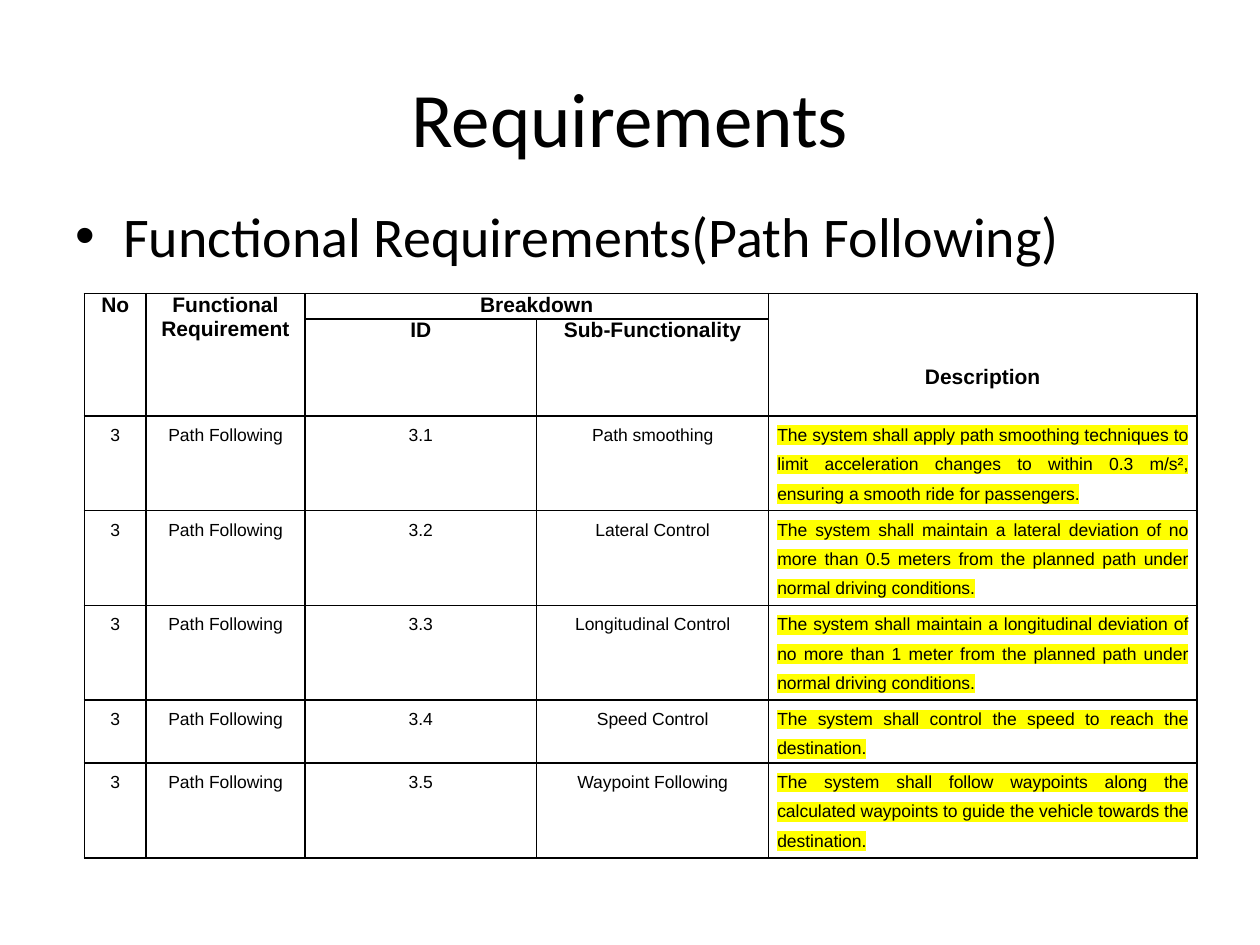
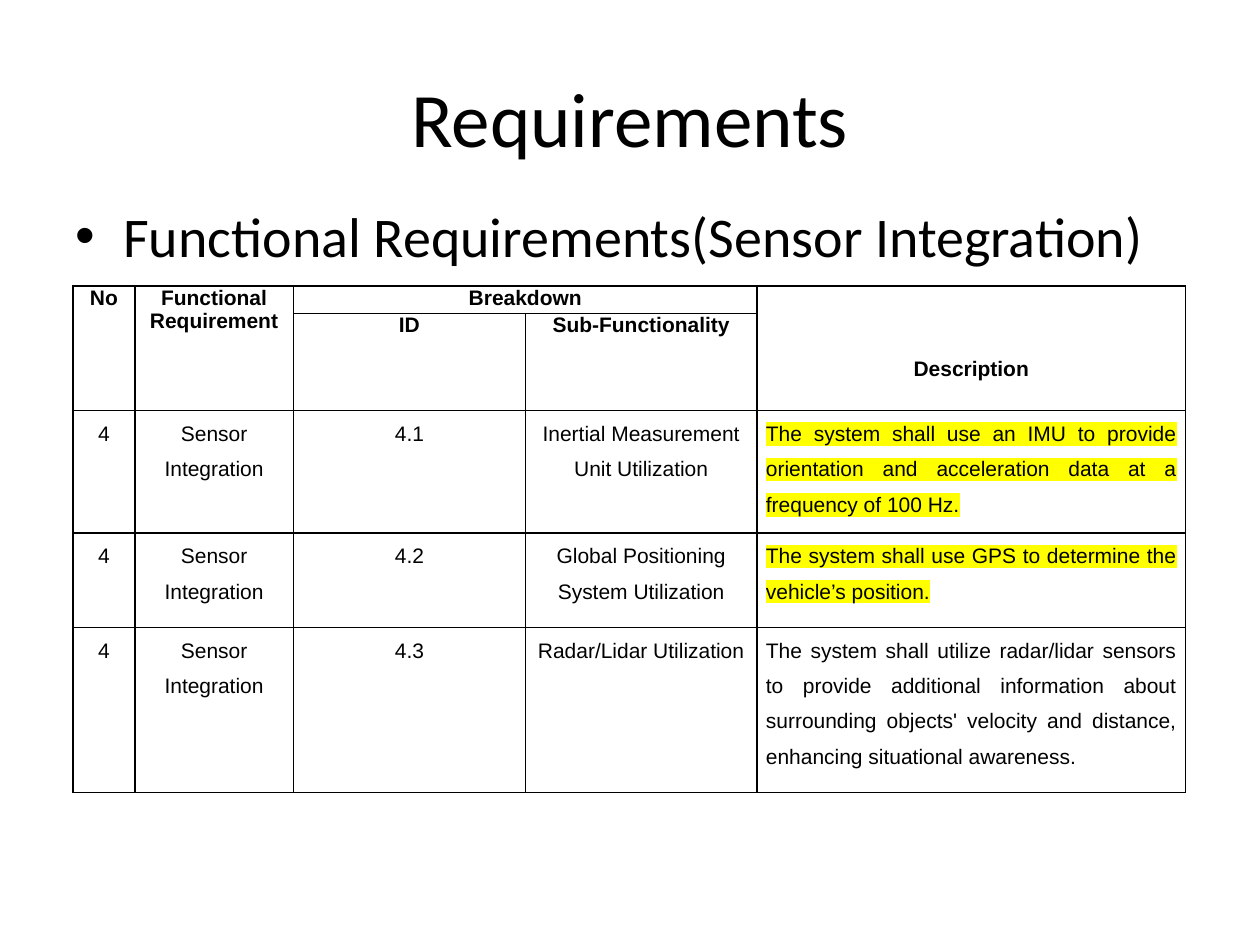
from lxml import etree
from pptx import Presentation
from pptx.dml.color import RGBColor
from pptx.enum.text import MSO_ANCHOR, PP_ALIGN
from pptx.oxml.ns import qn
from pptx.util import Inches, Pt

CENTER, JUSTIFY, LEFT = PP_ALIGN.CENTER, PP_ALIGN.JUSTIFY, PP_ALIGN.LEFT
TOP, MIDDLE = MSO_ANCHOR.TOP, MSO_ANCHOR.MIDDLE

# Content
TITLE = "Requirements"
HEADER = ["No", "Functional Requirement", "Breakdown", None, "Description"]
SUBHEADER = [None, None, "ID", "Sub-Functionality", None]
SECTIONS = [
    {
        "number": 3,
        "name": "Path Following",
        "table_at": (0.67, 2.33),
        "row_heights": [0.18, 0.53, 0.7, 0.7, 0.7, 0.43, 0.52],
        "text_size": 10,
        "description_gap": 12,
        # Sub-functionality, description, highlighted
        "items": [
            ("Path smoothing",
             "The system shall apply path smoothing techniques to limit acceleration "
             "changes to within 0.3 m/s², ensuring a smooth ride for passengers.", True),
            ("Lateral Control",
             "The system shall maintain a lateral deviation of no more than 0.5 meters "
             "from the planned path under normal driving conditions.", True),
            ("Longitudinal Control",
             "The system shall maintain a longitudinal deviation of no more than 1 meter "
             "from the planned path under normal driving conditions.", True),
            ("Speed Control",
             "The system shall control the speed to reach the destination.", True),
            ("Waypoint Following",
             "The system shall follow waypoints along the calculated waypoints to guide "
             "the vehicle towards the destination.", True),
        ],
    },
    {
        "number": 4,
        "name": "Sensor Integration",
        "table_at": (0.58, 2.27),
        "row_heights": [0.22, 0.66, 0.97, 0.75, 1.31],
        "text_size": 12,
        "description_gap": 0,
        "items": [
            ("Inertial Measurement Unit Utilization",
             "The system shall use an IMU to provide orientation and acceleration data "
             "at a frequency of 100 Hz.", True),
            ("Global Positioning System Utilization",
             "The system shall use GPS to determine the vehicle’s position.", True),
            ("Radar/Lidar Utilization",
             "The system shall utilize radar/lidar sensors to provide additional "
             "information about surrounding objects' velocity and distance, enhancing "
             "situational awareness.", False),
        ],
    },
]

# Shared look
COLORS = {"text": "000000", "border": "000000", "highlight": "FFFF00"}
SLIDE_WIDTH, SLIDE_HEIGHT = 10, 7.5
MARGIN = SLIDE_WIDTH * 0.05
CONTENT_WIDTH = SLIDE_WIDTH - 2 * MARGIN
TITLE_TOP, TITLE_HEIGHT = SLIDE_HEIGHT * 0.04, 1.25
BODY_TOP, BODY_HEIGHT = TITLE_TOP + TITLE_HEIGHT, 5.15
BULLET_INDENT = 0.38
COLUMN_WIDTHS = [0.49, 1.26, 1.84, 1.84, 3.4]
DESCRIPTION_COLUMN = len(COLUMN_WIDTHS) - 1
CELL_MARGINS = {"margin_left": 0.07, "margin_right": 0.07,
                "margin_top": 0, "margin_bottom": 0}
DESCRIPTION_DROP = 0.57
HEADER_MERGES = [((0, 0), (1, 0)), ((0, 1), (1, 1)), ((0, 2), (0, 3)), ((0, 4), (1, 4))]


def write(paragraph, text, font, size, alignment, bold=False, **spacing):
    """Add one formatted run; spacing holds further paragraph attributes."""
    run = paragraph.add_run()
    run.text = text
    for name, value in {"size": Pt(size), "bold": bold, "name": font}.items():
        setattr(run.font, name, value)
    run.font.color.rgb = RGBColor.from_string(COLORS["text"])
    for name, value in {"alignment": alignment, **spacing}.items():
        setattr(paragraph, name, value)
    return run


def add_color(parent, tag, color):
    element = etree.SubElement(parent, qn(tag))
    etree.SubElement(element, qn("a:srgbClr"), val=color)
    return element


def highlight(run):
    properties = run.font._element
    marker = add_color(properties, "a:highlight", COLORS["highlight"])
    properties.find(qn("a:latin")).addprevious(marker)


def format_cell(cell):
    properties = cell._tc.get_or_add_tcPr()
    for side in ("L", "R", "T", "B"):
        line = etree.SubElement(properties, qn(f"a:ln{side}"), w=str(Pt(1)))
        add_color(line, "a:solidFill", COLORS["border"])
    cell.fill.background()
    cell.vertical_anchor = TOP
    for name, inches in CELL_MARGINS.items():
        setattr(cell, name, Inches(inches))


def add_heading(slide, section):
    # Title
    title = slide.shapes.title
    place = {"left": MARGIN, "top": TITLE_TOP, "width": CONTENT_WIDTH, "height": TITLE_HEIGHT}
    for name, inches in place.items():
        setattr(title, name, Inches(inches))
    title.text_frame.vertical_anchor = MIDDLE
    write(title.text_frame.paragraphs[0], TITLE, "Calibri", 44, CENTER)

    # Bulleted subject line
    box = slide.shapes.add_textbox(*map(Inches, (MARGIN, BODY_TOP, CONTENT_WIDTH, BODY_HEIGHT)))
    box.text_frame.word_wrap = True
    paragraph = box.text_frame.paragraphs[0]
    write(paragraph, f"Functional Requirements({section['name']})", "Calibri", 32, LEFT,
          space_before=Pt(6.4))
    properties = paragraph._p.get_or_add_pPr()
    properties.set("marL", str(Inches(BULLET_INDENT)))
    properties.set("indent", str(-Inches(BULLET_INDENT)))
    etree.SubElement(properties, qn("a:buFont"), typeface="Arial")
    etree.SubElement(properties, qn("a:buChar"), char="•")


def add_requirements_table(slide, section):
    heights = section["row_heights"]
    number = section["number"]
    rows = [HEADER, SUBHEADER] + [
        [str(number), section["name"], f"{number}.{index}", item, description]
        for index, (item, description, marked) in enumerate(section["items"], 1)
    ]
    left, top = section["table_at"]
    frame = slide.shapes.add_table(len(rows), len(COLUMN_WIDTHS), *map(
        Inches, (left, top, sum(COLUMN_WIDTHS), sum(heights))))
    table = frame.table
    table.first_row = table.horz_banding = False
    for column, width in zip(table.columns, COLUMN_WIDTHS):
        column.width = Inches(width)
    for row, height in zip(table.rows, heights):
        row.height = Inches(height)

    # Cells
    for row_index, texts in enumerate(rows):
        for column_index, text in enumerate(texts):
            cell = table.cell(row_index, column_index)
            format_cell(cell)
            if text is None:
                continue
            paragraph = cell.text_frame.paragraphs[0]
            is_description = column_index == DESCRIPTION_COLUMN
            if row_index < 2:
                gap = Pt(13.9 if row_index == 0 else 12)
                write(paragraph, text, "Arial", 12, CENTER, bold=True,
                      space_before=gap, space_after=gap)
                if is_description:
                    cell.margin_top = Inches(DESCRIPTION_DROP)
                continue
            gap = Pt(section["description_gap"] if is_description else 12)
            run = write(paragraph, text, "Arial", section["text_size"],
                        JUSTIFY if is_description else CENTER,
                        line_spacing=1.5, space_before=gap, space_after=gap)
            if is_description and section["items"][row_index - 2][2]:
                highlight(run)

    # Joined header cells
    for first, last in HEADER_MERGES:
        table.cell(*first).merge(table.cell(*last))


def main():
    presentation = Presentation()
    presentation.slide_width = Inches(SLIDE_WIDTH)
    presentation.slide_height = Inches(SLIDE_HEIGHT)
    title_only = presentation.slide_layouts[5]
    for section in SECTIONS:
        slide = presentation.slides.add_slide(title_only)
        add_heading(slide, section)
        add_requirements_table(slide, section)
    presentation.save("out.pptx")


if __name__ == "__main__":
    main()
